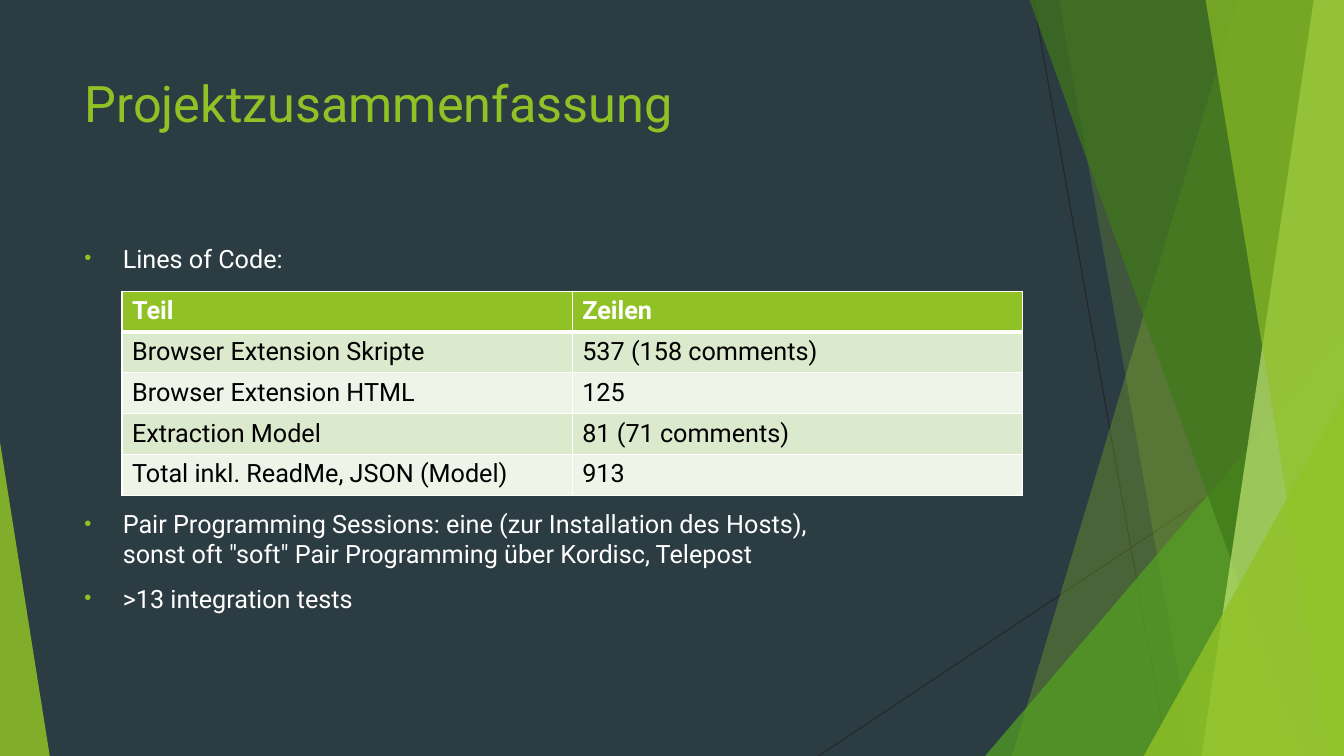
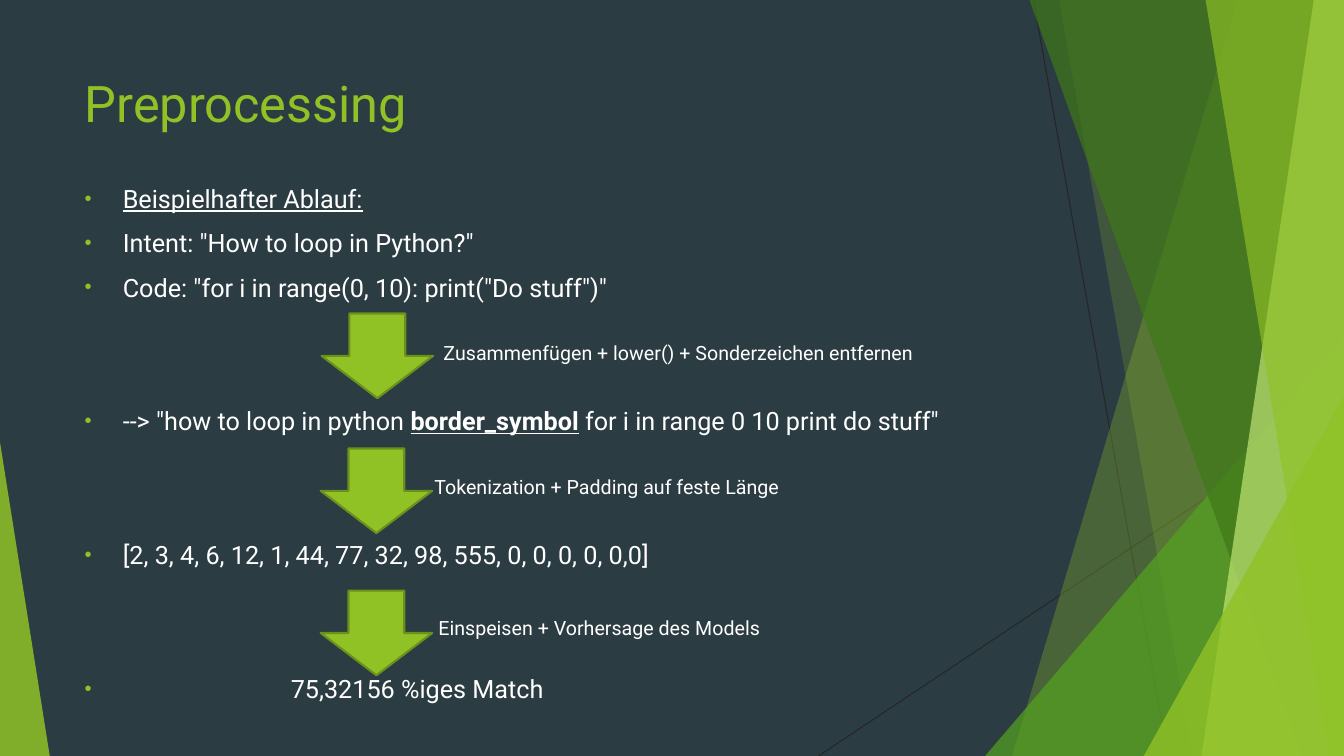
import pptx
import pptx.util
import pptx.dml.color
import pptx.enum.dml
import pptx.enum.shapes
import pptx.enum.text
import pptx.oxml
import pptx.oxml.ns
import lxml.etree

COLORS = {
    "night": "2C3C43", "lime": "90C226", "leaf": "54A021", "forest": "3F7819",
    "pale": "C0E474", "edge": "6B901C", "hairline": "262626", "white": "FFFFFF",
    "black": "000000", "band": "DBE9CD", "band_light": "EEF4E8",
}
FONT = "Roboto"
Shape = pptx.enum.shapes.MSO_SHAPE
Pt = pptx.util.Pt


def rgb(name):
    return pptx.dml.color.RGBColor.from_string(COLORS[name])


def add_xml(parent, tag, **attributes):
    child = lxml.etree.SubElement(parent, pptx.oxml.ns.qn(tag))
    for key, value in attributes.items():
        child.set(key, str(value))
    return child


class Slides:
    """Style and current page; places are percentages of the slide's size."""

    left, top, width = 5.55, 8.93, 70.5
    hanging = 2.85

    def __init__(self):
        self.deck = pptx.Presentation()
        self.deck.slide_width = pptx.util.Inches(13.33)
        self.deck.slide_height = pptx.util.Inches(7.5)
        background = self.deck.slide_master.background.fill
        background.solid()
        background.fore_color.rgb = rgb("night")
        self.page = None

    # Geometry and paint
    def x(self, share):
        return round(self.deck.slide_width * share / 100)

    def y(self, share):
        return round(self.deck.slide_height * share / 100)

    def place(self, left, top, width, height):
        return self.x(left), self.y(top), self.x(width), self.y(height)

    def paint(self, shape, color, opacity=100):
        shape.shadow.inherit = False
        shape.fill.solid()
        shape.fill.fore_color.rgb = rgb(color)
        shape.line.fill.background()
        if opacity < 100:
            solid = shape.fill._xPr.find(pptx.oxml.ns.qn("a:solidFill"))
            add_xml(solid[0], "a:alpha", val=opacity * 1000)

    def style(self, para, size, color="white", bold=False, underline=False):
        font = para.font
        font.name, font.size, font.bold = FONT, Pt(size), bold
        font.underline = underline
        font.color.rgb = rgb(color)

    # Page with the shared backdrop and title
    def start(self, title, height):
        self.page = self.deck.slides.add_slide(self.deck.slide_layouts[5])
        self.backdrop()
        box = self.page.shapes.title
        box.left, box.top, box.width, box.height = self.place(
            self.left, self.top, self.width, height)
        frame = box.text_frame
        frame.text = title
        frame.auto_size = pptx.enum.text.MSO_AUTO_SIZE.NONE
        frame.vertical_anchor = pptx.enum.text.MSO_ANCHOR.TOP
        para = frame.paragraphs[0]
        para.alignment = pptx.enum.text.PP_ALIGN.LEFT
        self.style(para, 36, "lime")

    def backdrop(self):
        self.hairline(76.9, 0, 86.9, 100)
        self.hairline(100, 53.7, 60.9, 100)
        self.facet(92.1, 75.3, "lime", 30)
        self.facet(78.8, 88.75, "lime", 20)
        self.triangle(73.3, 44.4, 26.7, 1, "leaf", 72)
        self.facet(76.6, 96.85, "forest", 70)
        self.facet(97.75, 89.4, "pale", 70)
        self.facet(89.7, 98.9, "lime", 65)
        self.triangle(85.1, 52.4, 14.9, 1, "lime", 80)
        self.triangle(0, 58.5, 3.7, 0, "lime", 85)

    def hairline(self, x1, y1, x2, y2):
        line = self.page.shapes.add_connector(
            pptx.enum.shapes.MSO_CONNECTOR.STRAIGHT,
            self.x(x1), self.y(y1), self.x(x2), self.y(y2))
        line.line.color.rgb = rgb("hairline")
        line.line.width = Pt(0.75)
        add_xml(line._element.spPr, "a:effectLst")

    def facet(self, upper, lower, color, opacity):
        """Full-height band from a slanted left edge to the right slide edge."""
        outline = self.page.shapes.build_freeform(self.x(upper), 0)
        outline.add_line_segments([
            (self.x(100), 0), (self.x(100), self.y(100)), (self.x(lower), self.y(100))])
        self.paint(outline.convert_to_shape(), color, opacity)

    def triangle(self, left, top, width, apex, color, opacity):
        """Triangle standing on the bottom edge."""
        shape = self.page.shapes.add_shape(
            Shape.ISOSCELES_TRIANGLE, *self.place(left, top, width, 100 - top))
        shape.adjustments[0] = apex
        self.paint(shape, color, opacity)

    # Text
    def text_frame(self, left, top, width, height):
        box = self.page.shapes.add_textbox(*self.place(left, top, width, height))
        box.text_frame.word_wrap = True
        return box.text_frame

    def bullets(self, top, width, height, items):
        """Items are (spans, space before, options); spans is text or (text, strong) pairs."""
        frame = self.text_frame(self.left, top, width, height)
        for number, (spans, space, options) in enumerate(items):
            para = frame.add_paragraph() if number else frame.paragraphs[0]
            options = dict(options)
            self.bullet(para, options.pop("hanging", self.hanging))
            para.space_before = Pt(space)
            self.style(para, 18, **options)
            if isinstance(spans, str):
                para.text = spans
                continue
            for text, strong in spans:
                span = para.add_run()
                span.text = text
                if strong:
                    span.font.bold = span.font.underline = True

    def bullet(self, para, hanging):
        properties = para._p.get_or_add_pPr()
        properties.set("marL", str(self.x(hanging)))
        properties.set("indent", str(-self.x(hanging)))
        add_xml(add_xml(properties, "a:buClr"), "a:srgbClr", val=COLORS["lime"])
        add_xml(properties, "a:buSzPct", val=80000)
        add_xml(properties, "a:buFont", typeface="Arial")
        add_xml(properties, "a:buChar", char="•")

    def label(self, left, top, width, text):
        para = self.text_frame(left, top, width, 4.5).paragraphs[0]
        para.text = text
        self.style(para, 14)

    # Shapes and tables
    def down_arrow(self, left, top):
        arrow = self.page.shapes.add_shape(
            Shape.DOWN_ARROW, *self.place(left, top, 8.3, 11.2))
        self.paint(arrow, "lime")
        arrow.line.color.rgb = rgb("edge")
        arrow.line.width = Pt(1.5)

    def table(self, left, top, width, height, rows):
        grid = self.page.shapes.add_table(
            len(rows), len(rows[0]), *self.place(left, top, width, height)).table
        for r, row in enumerate(rows):
            header = r == 0
            fill = "lime" if header else ("band_light", "band")[r % 2]
            for c, text in enumerate(row):
                cell = grid.cell(r, c)
                cell.text = text
                self.style(cell.text_frame.paragraphs[0], 18,
                           "white" if header else "black", bold=header)
                self.borders(cell, top=3 if r == 1 else 1, bottom=3 if header else 1)
                cell.fill.solid()
                cell.fill.fore_color.rgb = rgb(fill)

    def borders(self, cell, top, bottom):
        properties = cell._tc.get_or_add_tcPr()
        for tag, width in (("a:lnL", 1), ("a:lnR", 1), ("a:lnT", top), ("a:lnB", bottom)):
            line = add_xml(properties, tag, w=Pt(width))
            add_xml(add_xml(line, "a:solidFill"), "a:srgbClr", val=COLORS["white"])


slides = Slides()

# Project summary
slides.start("Projektzusammenfassung", 19.2)
slides.bullets(31.47, 70.5, 56.5, [
    ("Lines of Code:", 10, {}),
    ("Pair Programming Sessions: eine (zur Installation des Hosts),\v"
     "sonst oft \"soft\" Pair Programming über Kordisc, Telepost", 168, {}),
    (">13 integration tests", 10, {}),
])
slides.table(9.08, 38.53, 67, 27, [
    ("Teil", "Zeilen"),
    ("Browser Extension Skripte", "537 (158 comments)"),
    ("Browser Extension HTML", "125"),
    ("Extraction Model", "81 (71 comments)"),
    ("Total inkl. ReadMe, JSON (Model)", "913"),
])

# Preprocessing steps
STEP_GAP = 74
slides.start("Preprocessing", 11.9)
slides.bullets(23.6, 75.2, 75.3, [
    ("Beispielhafter Ablauf:", 10, {"underline": True}),
    ("Intent: \"How to loop in Python?\"", 10, {}),
    ("Code: \"for i in range(0, 10): print(\"Do stuff\")\"", 10, {}),
    ([("--> \"how to loop in python ", False), ("border_symbol", True),
      (" for i in range 0 10 print do stuff\"", False)], STEP_GAP, {}),
    ("[2, 3, 4, 6, 12, 1, 44, 77, 32, 98, 555, 0, 0, 0, 0, 0,0]", STEP_GAP, {}),
    ("75,32156 %iges Match", STEP_GAP, {"hanging": 15.35}),
])
for arrow_left, arrow_top, label_left, label_top, label_width, step in [
    (23.93, 41.47, 32.26, 44.4, 49.7, "Zusammenfügen + lower() + Sonderzeichen entfernen"),
    (23.86, 59.33, 31.58, 62.13, 35.9, "Tokenization + Padding auf feste Länge"),
    (23.86, 78.13, 31.88, 80.8, 35.9, "Einspeisen + Vorhersage des Models"),
]:
    slides.down_arrow(arrow_left, arrow_top)
    slides.label(label_left, label_top, label_width, step)

slides.deck.save("out.pptx")
